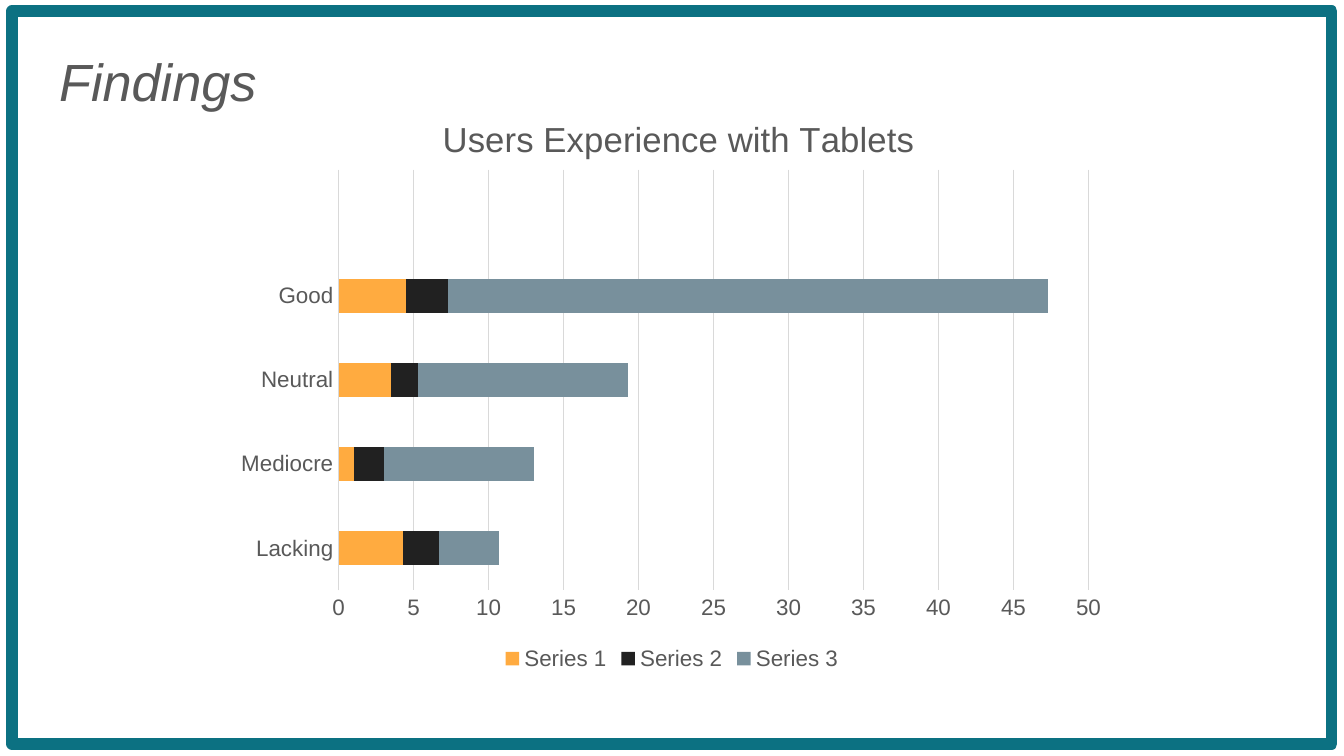
from lxml import etree
from pptx import Presentation
from pptx import util as u
from pptx.chart.data import CategoryChartData
from pptx.dml.color import RGBColor
from pptx.enum import chart as ch
from pptx.enum import shapes
from pptx.oxml import parse_xml
from pptx.oxml.ns import nsdecls, qn

HEAD = "Findings"
TITLE = "Users Experience with Tablets"
CATS = ["Lacking", "Mediocre", "Neutral", "Good", ""]
SERIES = [
    ("Series 1", "FFAB40", [4.3, 1, 3.5, 4.5, None]),
    ("Series 2", "212121", [2.4, 2, 1.8, 2.8, None]),
    ("Series 3", "78909C", [4, 10, 14, 40, None]),
]
THEME = {
    "font": "Arial", "text": "595959", "frame": "0C7182", "grid": "D9D9D9",
    "head": 28, "title": 18.6, "label": 12, "border": 6, "rule": 0.75,
}

# Places in px: left, top, width, height
SIZE = (1344, 756)
FRAME = (12, 11, 1320, 733)
HEADBOX = (46, 30, 1252, 117)
CHART = (224, 79, 896, 597)
PLOT = (339, 170, 750, 421)
CAPTION = (436, 110)
PX = 914400 / 134.4


def emu(box):
    return [u.Emu(round(n * PX)) for n in box]


def color(key):
    return RGBColor.from_string(THEME.get(key, key))


def style(font, size, **more):
    form = {"name": THEME["font"], "size": u.Pt(THEME[size]), "bold": False, **more}
    for key, val in form.items():
        setattr(font, key, val)
    font.color.rgb = color("text")


def rule(line, key, width):
    line.color.rgb = color(key)
    line.width = u.Pt(THEME[width])


def place(part, box, inner=False):
    """Fix a chart part at a px box, as fractions of the chart."""
    left, top, wide, high = CHART
    vals = [(box[0] - left) / wide, (box[1] - top) / high]
    vals += [n / full for n, full in zip(box[2:], (wide, high))]
    tags = [("layoutTarget", "inner")] if inner else []
    tags += [("xMode", "edge"), ("yMode", "edge")]
    tags += [(tag, f"{val:.3f}") for tag, val in zip("xywh", vals)]
    body = "".join(f'<c:{tag} val="{val}"/>' for tag, val in tags)
    lay = parse_xml(f'<c:layout {nsdecls("c")}><c:manualLayout>{body}'
                    "</c:manualLayout></c:layout>")
    for old in part.findall(qn("c:layout")):
        part.remove(old)
    text = part.find(qn("c:tx"))
    if text is None:
        part.insert(0, lay)
    else:
        text.addnext(lay)


def add_frame(slide):
    box = slide.shapes.add_shape(shapes.MSO_SHAPE.RECTANGLE, *emu(FRAME))
    box.shadow.inherit = False
    box.fill.background()
    rule(box.line, "frame", "border")
    etree.SubElement(box.line._get_or_add_ln(), qn("a:round"))


def add_head(slide):
    frame = slide.shapes.add_textbox(*emu(HEADBOX)).text_frame
    frame.word_wrap = True
    for side in ("left", "top", "right", "bottom"):
        setattr(frame, f"margin_{side}", u.Inches(0.1))
    para = frame.paragraphs[0]
    para.line_spacing = 1.1
    run = para.add_run()
    run.text = HEAD
    style(run.font, "head", italic=True)


def add_chart(slide):
    data = CategoryChartData()
    data.categories = CATS
    for name, _, vals in SERIES:
        data.add_series(name, vals)
    kind = ch.XL_CHART_TYPE.BAR_STACKED
    chart = slide.shapes.add_chart(kind, *emu(CHART), data).chart
    style(chart.font, "label")

    chart.has_title = True
    para = chart.chart_title.text_frame.paragraphs[0]
    run = para.add_run()
    run.text = TITLE
    style(run.font, "title")
    chart.chart_title.include_in_layout = False
    place(chart.chart_title._element, CAPTION)

    chart.has_legend = True
    chart.legend.position = ch.XL_LEGEND_POSITION.BOTTOM
    chart.legend.include_in_layout = False
    style(chart.legend.font, "label")

    plot = chart.plots[0]
    plot.gap_width, plot.overlap, plot.vary_by_categories = 150, 100, False
    for ser, (_, fill, _) in zip(plot.series, SERIES):
        ser.format.fill.solid()
        ser.format.fill.fore_color.rgb = color(fill)
        ser.invert_if_negative = False

    cat, val = chart.category_axis, chart.value_axis
    for axis in (cat, val):
        axis.major_tick_mark = axis.minor_tick_mark = ch.XL_TICK_MARK.NONE
        style(axis.tick_labels.font, "label")
    cat.has_major_gridlines = False
    rule(cat.format.line, "grid", "rule")
    val.format.line.fill.background()
    val.has_major_gridlines = True
    rule(val.major_gridlines.format.line, "grid", "rule")
    val.minimum_scale, val.maximum_scale, val.major_unit = 0, 50, 5
    place(chart._chartSpace.chart.plotArea, PLOT, inner=True)


def main():
    deck = Presentation()
    deck.slide_width, deck.slide_height = emu(SIZE)
    slide = deck.slides.add_slide(deck.slide_layouts[6])
    add_frame(slide)
    add_head(slide)
    add_chart(slide)
    deck.save("out.pptx")


if __name__ == "__main__":
    main()
